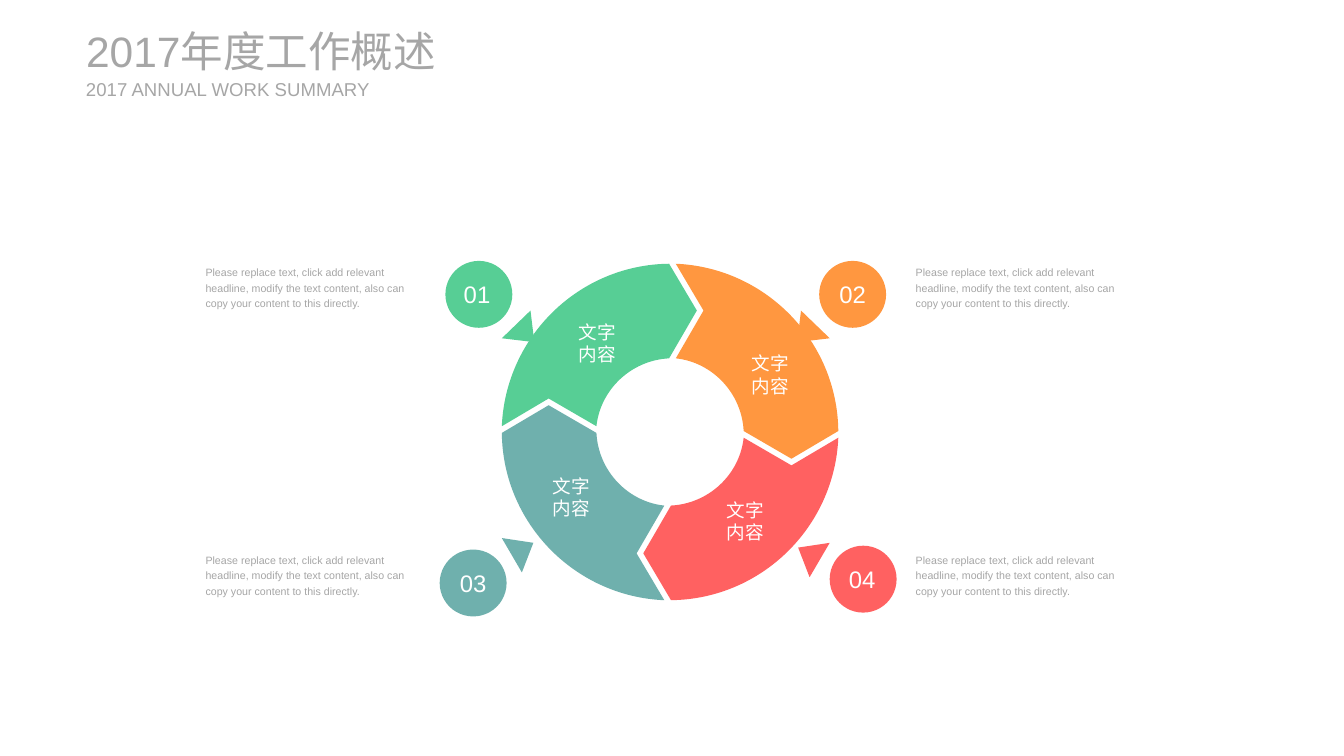
import pptx
import pptx.util
import pptx.oxml
import pptx.oxml.ns
import pptx.dml.color
import pptx.enum.shapes
import pptx.enum.text

Inches = pptx.util.Inches
qn = pptx.oxml.ns.qn
ALIGN = pptx.enum.text.PP_ALIGN
ANCHOR = pptx.enum.text.MSO_ANCHOR

# Content
TITLE = "2017年度工作概述"
SUB = "2017 ANNUAL WORK SUMMARY"
LABEL = "文字内容"
NOTE = ("Please replace text, click add relevant headline, modify the text "
        "content, also can copy your content to this directly.")
COLORS = {"green": "57CE95", "orange": "FF9740", "red": "FF6161",
          "teal": "6FB0AD", "gray": "A6A6A6", "white": "FFFFFF"}

# Clockwise from top left; disc, number, note and label hold left and top
PARTS = [
    {"num": "01", "color": "green", "disc": (4.66, 2.73), "number": (4.65, 2.81),
     "note": (2.15, 2.76), "wide": 2.25, "label": (5.97, 3.22),
     "pointer": [(5.55, 3.25), (5.25, 3.54), (5.59, 3.58)]},
    {"num": "02", "color": "orange", "disc": (8.57, 2.73), "number": (8.58, 2.81),
     "note": (9.58, 2.76), "wide": 2.3, "label": (7.78, 3.55),
     "pointer": [(8.38, 3.25), (8.68, 3.54), (8.34, 3.58)]},
    {"num": "04", "color": "red", "disc": (8.68, 5.71), "number": (8.68, 5.79),
     "note": (9.58, 5.77), "wide": 2.3, "label": (7.52, 5.08),
     "pointer": [(8.47, 6.04), (8.68, 5.68), (8.35, 5.73)]},
    {"num": "03", "color": "teal", "disc": (4.6, 5.75), "number": (4.61, 5.83),
     "note": (2.15, 5.77), "wide": 2.25, "label": (5.7, 4.83),
     "pointer": [(5.25, 5.63), (5.46, 5.99), (5.58, 5.68)]},
]

# First ring segment, measured from the middle of the ring
MID = (7.01, 4.52)
CORNERS = [(0.28, -1.27), (-0.01, -1.76), (-1.76, -0.06),
           (-1.27, -0.35), (-0.77, -0.06), (-0.01, -0.77)]
# Control points of the arcs that end at corners 2 and 5
BENDS = {2: [(-0.95, -1.75), (-1.72, -1.0)],
         5: [(-0.73, -0.44), (-0.41, -0.75)]}

# Text formats
STYLES = {
    "title": {"size": 32, "color": "gray", "align": ALIGN.LEFT},
    "sub": {"size": 14, "color": "gray", "align": ALIGN.LEFT},
    "number": {"size": 18, "color": "white", "align": ALIGN.CENTER, "pad": 0.1},
    "label": {"size": 14, "color": "white", "align": ALIGN.CENTER},
    "note": {"size": 8, "color": "gray", "align": ALIGN.LEFT,
             "anchor": ANCHOR.TOP, "space": 1.2},
}

deck = pptx.Presentation()
deck.slide_width, deck.slide_height = Inches(14.06), Inches(7.91)
slide = deck.slides.add_slide(deck.slide_layouts[5])
shapes = slide.shapes


def rgb(name):
    return pptx.dml.color.RGBColor.from_string(COLORS[name])


def paint(shape, color):
    shape.shadow.inherit = False
    shape.fill.solid()
    shape.fill.fore_color.rgb = rgb(color)
    shape.line.fill.background()


def write(shape, text, style):
    look = STYLES[style]
    frame = shape.text_frame
    frame.text = text
    pad = Inches(look.get("pad", 0))
    formats = {"word_wrap": True, "auto_size": pptx.enum.text.MSO_AUTO_SIZE.NONE,
               "margin_left": 0, "margin_right": 0,
               "margin_top": pad, "margin_bottom": pad,
               "vertical_anchor": look.get("anchor", ANCHOR.MIDDLE)}
    for key, value in formats.items():
        setattr(frame, key, value)
    para = frame.paragraphs[0]
    para.alignment = look["align"]
    para.line_spacing = look.get("space", 1.0)
    font = para.runs[0].font
    for key, value in {"name": "Arial", "size": pptx.util.Pt(look["size"])}.items():
        setattr(font, key, value)
    font.color.rgb = rgb(look["color"])


def add_text(text, style, left, top, width, height):
    box = shapes.add_textbox(*map(Inches, (left, top, width, height)))
    write(box, text, style)


def outline(points, color):
    dots = [(Inches(x), Inches(y)) for x, y in points]
    build = shapes.build_freeform(*dots[0])
    build.add_line_segments(dots[1:], close=True)
    shape = build.convert_to_shape()
    paint(shape, color)
    return shape


def place(points, turn):
    for _ in range(turn):
        points = [(-y, x) for x, y in points]
    return [(MID[0] + x, MID[1] + y) for x, y in points]


def segment(turn, color):
    shape = outline(place(CORNERS, turn), color)
    sides = list(shape.element.iter(qn("a:lnTo")))
    for end, bend in BENDS.items():
        side = sides[end - 1]
        side.tag = qn("a:cubicBezTo")
        for spot, (x, y) in enumerate(place(bend, turn)):
            dot = pptx.oxml.parse_xml(
                '<a:pt xmlns:a="http://schemas.openxmlformats.org/drawingml/2006/main"'
                f' x="{Inches(x) - shape.left}" y="{Inches(y) - shape.top}"/>')
            side.insert(spot, dot)


# Title and subtitle
title = shapes.title
for key, value in {"left": 0.9, "top": 0.26, "width": 4.32, "height": 0.54}.items():
    setattr(title, key, Inches(value))
write(title, TITLE, "title")

# Discs and pointers
for part in PARTS:
    disc = shapes.add_shape(pptx.enum.shapes.MSO_SHAPE.OVAL,
                            *map(Inches, (*part["disc"], 0.7, 0.7)))
    paint(disc, part["color"])
    outline(part["pointer"], part["color"])

# Numbers and notes
for part in PARTS:
    add_text(part["num"], "number", *part["number"], 0.68, 0.53)
    add_text(NOTE, "note", *part["note"], part["wide"], 0.47)

# Ring: one segment turned by quarters
for turn, part in enumerate(PARTS):
    segment(turn, part["color"])
for part in PARTS:
    add_text(LABEL, "label", *part["label"], 0.56, 0.74)

add_text(SUB, "sub", 0.9, 0.81, 3.07, 0.24)

deck.save("out.pptx")
